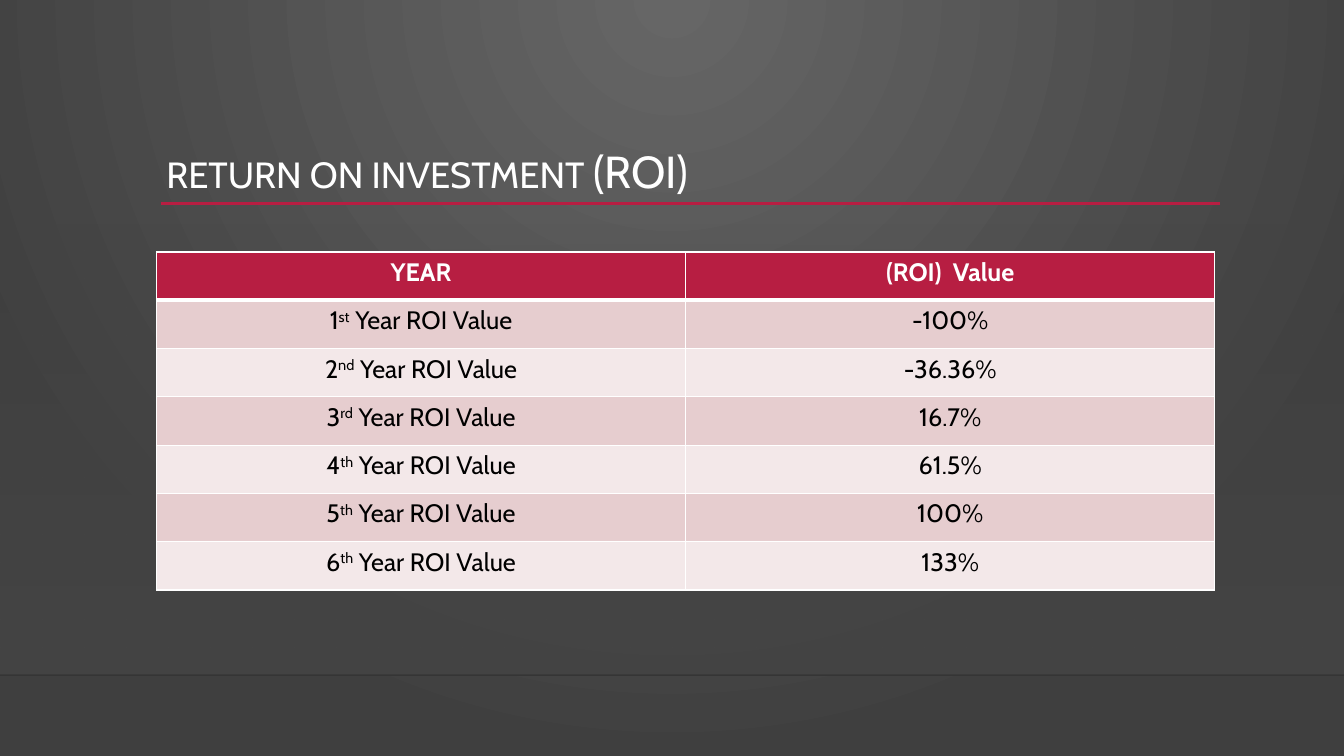
from lxml.etree import SubElement
from pptx import Presentation
from pptx.dml.color import RGBColor
from pptx.enum.shapes import MSO_CONNECTOR, MSO_SHAPE
from pptx.enum.text import MSO_ANCHOR, PP_ALIGN
from pptx.oxml import parse_xml
from pptx.oxml.ns import nsdecls, qn
from pptx.util import Pt

EMU_PER_PX = 9525
WIDTH, HEIGHT = 1280, 720
FLOOR_Y = 643
FONT = "Cabin"

WHITE = RGBColor(0xFF, 0xFF, 0xFF)
BLACK = RGBColor(0x00, 0x00, 0x00)
NEAR_BLACK = RGBColor(0x00, 0x00, 0x01)
CRIMSON = RGBColor(0xB7, 0x1E, 0x42)
ROSE = RGBColor(0xE6, 0xCD, 0xCF)
PALE_ROSE = RGBColor(0xF3, 0xE8, 0xE9)
LIGHT_GRAY = RGBColor(0x66, 0x66, 0x66)
DARK_GRAY = RGBColor(0x3F, 0x3F, 0x3F)
WALL_GRAY = RGBColor(0x45, 0x45, 0x45)

YEARLY_ROI = [
    ("1", "st", "-100%"),
    ("2", "nd", "-36.36%"),
    ("3", "rd", "16.7%"),
    ("4", "th", "61.5%"),
    ("5", "th", "100%"),
    ("6", "th", "133%"),
]


def px(length):
    return length * EMU_PER_PX


def add_text(paragraph, text, size=18, color=BLACK, bold=False, raised=False):
    run = paragraph.add_run()
    run.text = text
    run.font.name = FONT
    run.font.size = Pt(size)
    run.font.bold = bold
    run.font.color.rgb = color
    if raised:
        run.font._element.set("baseline", "30000")


def set_gradient(fill, *colors):
    fill.gradient()
    for stop, color, position in zip(fill.gradient_stops, colors, (0, 1)):
        stop.color.rgb = color
        stop.position = position


def set_alpha(element, percent):
    color = next(element.iter(qn("a:srgbClr")))
    SubElement(color, qn("a:alpha")).set("val", str(percent * 1000))


class RoiSlide:
    def __init__(self, presentation):
        self.slide = presentation.slides.add_slide(presentation.slide_layouts[6])
        self.shapes = self.slide.shapes

    def background(self, center, edge):
        set_gradient(self.slide.background.fill, center, edge)
        linear = next(self.slide.element.iter(qn("a:lin")))
        circle = parse_xml(
            f'<a:path {nsdecls("a")} path="circle">'
            '<a:fillToRect l="43000" t="0" r="43000" b="100000"/></a:path>'
        )
        linear.getparent().replace(linear, circle)

    def fading_band(self, left, top, width, height, color):
        band = self.shapes.add_shape(
            MSO_SHAPE.RECTANGLE, px(left), px(top), px(width), px(height)
        )
        band.shadow.inherit = False
        band.line.fill.background()
        set_gradient(band.fill, color, color)
        band.fill.gradient_angle = 270
        set_alpha(band._element.spPr, 0)

    def rule(self, left, right, y, color, weight, opacity=100):
        rule = self.shapes.add_connector(
            MSO_CONNECTOR.STRAIGHT, px(left), px(y), px(right), px(y)
        )
        rule.line.color.rgb = color
        rule.line.width = Pt(weight)
        if opacity < 100:
            set_alpha(rule._element.spPr, opacity)
        SubElement(rule._element.spPr, qn("a:effectLst"))

    def title(self, left, top, width, height, parts):
        frame = self.shapes.add_textbox(
            px(left), px(top), px(width), px(height)
        ).text_frame
        frame.word_wrap = True
        frame.vertical_anchor = MSO_ANCHOR.TOP
        heading = frame.paragraphs[0]
        heading.line_spacing = 0.9
        for text, size in parts:
            add_text(heading, text, size=size, color=WHITE)

    def cell(self, cell, fill, parts, top=1, bottom=1, **style):
        cell.fill.solid()
        cell.fill.fore_color.rgb = fill
        paragraph = cell.text_frame.paragraphs[0]
        paragraph.alignment = PP_ALIGN.CENTER
        for text, raised in parts:
            add_text(paragraph, text, raised=raised, **style)
        properties = cell._tc.get_or_add_tcPr()
        borders = {"lnL": 1, "lnR": 1, "lnT": top, "lnB": bottom}
        for index, (side, weight) in enumerate(borders.items()):
            border = parse_xml(
                f'<a:{side} {nsdecls("a")} w="{Pt(weight)}"><a:solidFill>'
                f'<a:srgbClr val="{WHITE}"/></a:solidFill></a:{side}>'
            )
            properties.insert(index, border)

    def table(self, left, top, width, row_height, headings, records):
        count = len(records) + 1
        table = self.shapes.add_table(
            count, len(headings), px(left), px(top), px(width), px(row_height * count)
        ).table
        table.horz_banding = False
        for row in table.rows:
            row.height = px(row_height)
        for column, heading in enumerate(headings):
            self.cell(table.cell(0, column), CRIMSON, [(heading, False)],
                      bottom=3, color=WHITE, bold=True)
        for row, (number, suffix, value) in enumerate(records, 1):
            fill = ROSE if row % 2 else PALE_ROSE
            top_weight = 3 if row == 1 else 1
            year = [(number, False), (suffix, True), (" Year ROI Value", False)]
            for column, parts in enumerate((year, [(value, False)])):
                self.cell(table.cell(row, column), fill, parts, top=top_weight)


def main():
    presentation = Presentation()
    presentation.slide_width = px(WIDTH)
    presentation.slide_height = px(HEIGHT)

    roi = RoiSlide(presentation)
    roi.background(LIGHT_GRAY, DARK_GRAY)
    roi.fading_band(0, 212, WIDTH, FLOOR_Y - 212, WALL_GRAY)
    roi.rule(0, WIDTH, FLOOR_Y, NEAR_BLACK, 1, opacity=20)
    roi.rule(153, 1162, 194, CRIMSON, 2.5)
    roi.title(149, 138, 1008, 62, [("RETURN ON INVESTMENT ", 26), ("(ROI)", 32)])
    roi.table(149, 240, 1008, 46, ("YEAR", "(ROI)  Value"), YEARLY_ROI)

    presentation.save("out.pptx")


if __name__ == "__main__":
    main()
